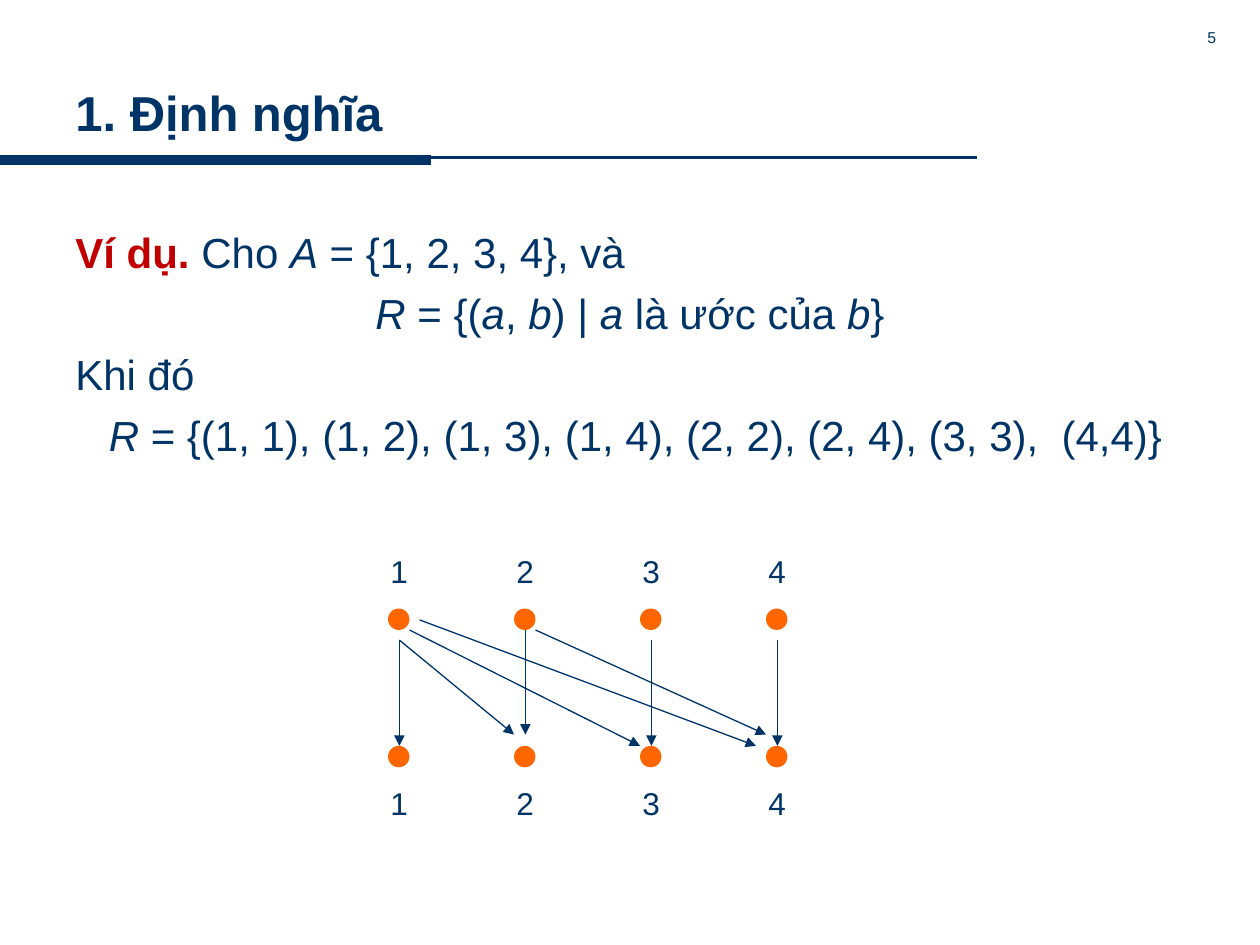
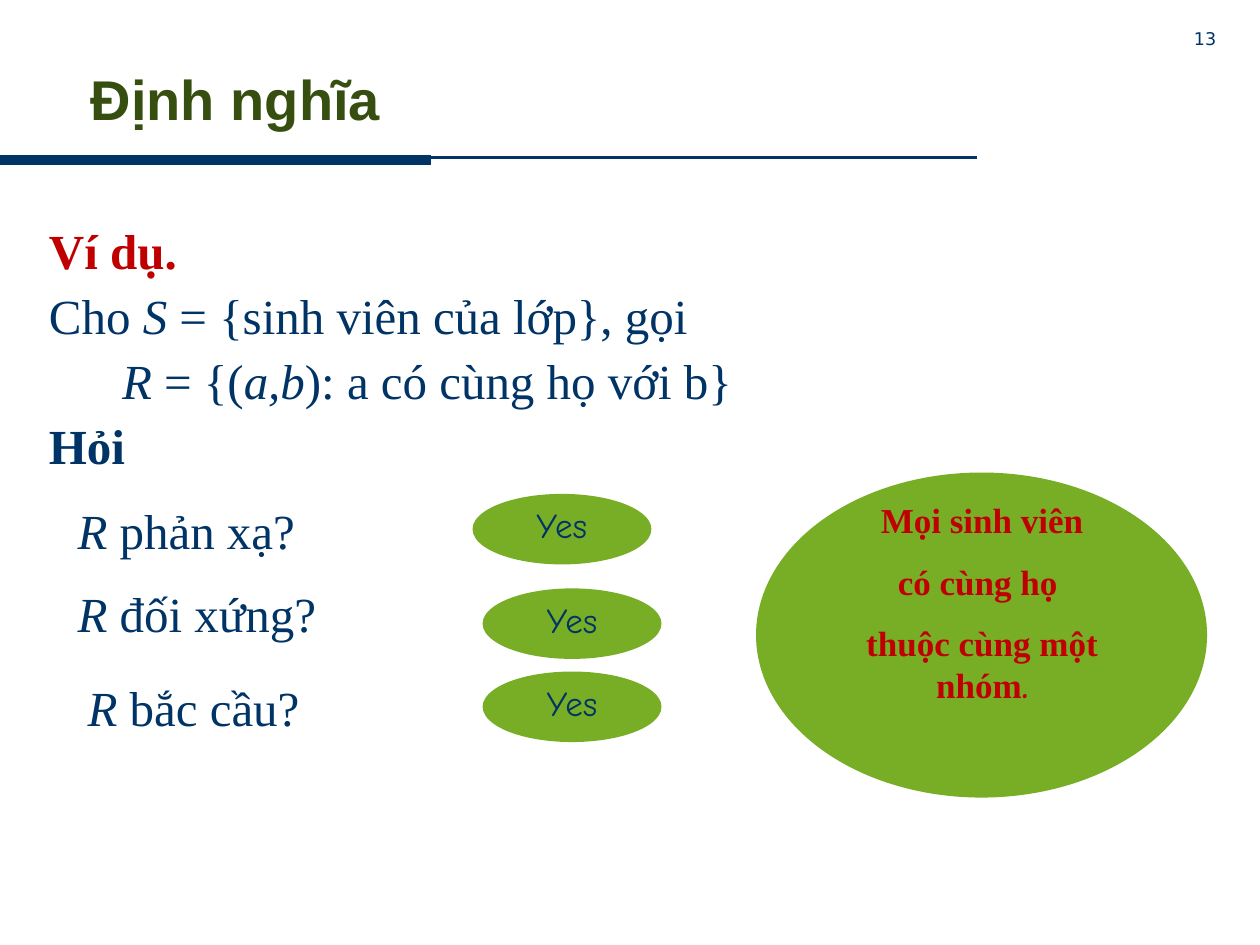
from lxml import etree
from pptx import Presentation
from pptx.dml.color import RGBColor
from pptx.enum import shapes, text
from pptx.oxml.ns import qn
from pptx.util import Inches, Pt

NAVY = RGBColor(0x00, 0x33, 0x66)
RED = RGBColor(0xC0, 0x00, 0x00)
ORANGE = RGBColor(0xFF, 0x66, 0x00)
GREEN = RGBColor(0x77, 0xAE, 0x26)
DARK_GREEN = RGBColor(0x36, 0x4E, 0x10)

SANS, SERIF, HAND = "Arial", "Times New Roman", "Comic Neue"
LEFT, CENTER, RIGHT = (text.PP_ALIGN.LEFT, text.PP_ALIGN.CENTER,
                       text.PP_ALIGN.RIGHT)


def add_text(slide, box, paragraphs, size, font=SANS, color=NAVY, align=LEFT,
             gap=0, spacing=None, anchor=text.MSO_ANCHOR.TOP):
    """Each paragraph is a list of (words, style) runs; style holds b and i.

    A run may add its own colour and font after the style.
    """
    shape = slide.shapes.add_textbox(*map(Inches, box))
    frame = shape.text_frame
    frame.word_wrap = True
    frame.vertical_anchor = anchor
    for index, runs in enumerate(paragraphs):
        paragraph = frame.paragraphs[0] if index == 0 else frame.add_paragraph()
        paragraph.alignment = align
        if spacing:
            paragraph.line_spacing = spacing
        if index:
            paragraph.space_before = Pt(gap)
        for words, style, *own in runs:
            run = paragraph.add_run()
            run.text = words
            run.font.size = Pt(size)
            run.font.bold = "b" in style
            run.font.italic = "i" in style
            run.font.color.rgb = own[0] if own else color
            run.font.name = own[1] if len(own) > 1 else font
    return shape


def add_ellipse(slide, box, color):
    shape = slide.shapes.add_shape(shapes.MSO_SHAPE.OVAL, *map(Inches, box))
    shape.shadow.inherit = False
    shape.fill.solid()
    shape.fill.fore_color.rgb = color
    shape.line.fill.background()


def add_line(slide, start, end, width, arrow=False):
    line = slide.shapes.add_connector(shapes.MSO_CONNECTOR.STRAIGHT,
                                      *map(Inches, start + end))
    line.line.color.rgb = NAVY
    line.line.width = Pt(width)
    if arrow:
        etree.SubElement(line.line._get_or_add_ln(), qn("a:tailEnd"),
                         type="triangle")
    etree.SubElement(line._element.spPr, qn("a:effectLst"))


def add_slide(presentation, title, title_box, title_size, title_color,
              number, number_size, number_font):
    """Blank slide with the shared rules, title and slide number."""
    slide = presentation.slides.add_slide(presentation.slide_layouts[6])
    add_line(slide, (7.75, 1.25), (0, 1.25), 1.5)
    add_line(slide, (0, 1.27), (3.42, 1.27), 6)
    add_text(slide, title_box, [[(title, "b")]], title_size,
             color=title_color, anchor=text.MSO_ANCHOR.MIDDLE)
    add_text(slide, (7.83, 0.17, 1.92, 0.25), [[(number, "")]], number_size,
             number_font, align=RIGHT)
    return slide


def add_node_row(slide, dot_top, label_top):
    for column in range(4):
        left = 3 + column
        add_ellipse(slide, (left + 0.08, dot_top, 0.17, 0.17), ORANGE)
        add_text(slide, (left, label_top, 0.5, 0.44),
                 [[(str(column + 1), "")]], 18)


def add_answer(slide, left, top):
    add_ellipse(slide, (left, top, 1.42, 0.56), GREEN)
    add_text(slide, (left + 0.19, top + 0.03, 1.04, 0.43), [[("Yes", "")]],
             20, HAND, align=CENTER)


def build_divisor_slide(presentation):
    slide = add_slide(presentation, "1. Định nghĩa", (0.5, 0.58, 8.42, 0.62),
                      28, NAVY, "5", 9, SANS)
    body = add_text(slide, (0.5, 1.75, 9, 2.42), [
        [("Ví dụ. ", "b", RED), ("Cho ", ""), ("A", "i"),
         (" = {1, 2, 3, 4}, và ", "")],
        [("R", "i"), (" = {(", ""), ("a", "i"), (", ", ""), ("b", "i"),
         (") | ", ""), ("a", "i"), (" là ước của ", ""), ("b", "i"),
         ("}", "")],
        [("Khi đó", "")],
        [(" R", "i"),
         (" = {(1, 1), (1, 2), (1, 3), (1, 4), (2, 2), (2, 4), (3, 3),"
          "  (4,4)}", "")],
    ], 24, gap=6)
    for formula in body.text_frame.paragraphs[1::2]:
        formula.alignment = CENTER

    # Arrow diagram of the relation
    add_node_row(slide, dot_top=4.83, label_top=4.33)
    add_node_row(slide, dot_top=5.92, label_top=6.17)
    arrows = [((x, 5.08), (x, 5.92)) for x in (3.17, 5.17, 6.17)]
    arrows += [
        ((4.17, 5), (4.17, 5.83)),
        ((3.17, 5.08), (4.08, 5.83)),
        ((3.25, 5), (5.08, 5.92)),
        ((3.33, 4.92), (6, 5.92)),
        ((4.25, 5), (6.08, 5.83)),
    ]
    for start, end in arrows:
        add_line(slide, start, end, 0.75, arrow=True)


def build_student_slide(presentation):
    slide = add_slide(presentation, " Định nghĩa", (0.5, 0.3, 6.33, 0.95),
                      32, DARK_GREEN, "13", 10, "DejaVu Sans")
    body = add_text(slide, (0.29, 1.75, 8.05, 2.84), [
        [("Ví dụ.", "b", RED)],
        [("Cho ", ""), ("S", "i"), (" = {sinh viên của lớp}, gọi", "")],
        [("R", "i"), (" = {(", ""), ("a,b", "i"),
         ("): a có cùng họ với b}", "")],
        [("Hỏi", "b")],
    ], 28, SERIF, gap=7, spacing=0.9)
    relation = body.text_frame.paragraphs[2]._p.get_or_add_pPr()
    relation.set("marL", str(Inches(0.58)))

    # Questions and their answers
    questions = [
        ("phản xạ?", 0.42, 3.92, 3.75, 3.92),
        ("đối xứng?", 0.42, 4.58, 3.83, 4.67),
        ("bắc cầu?", 0.5, 5.33, 3.83, 5.33),
    ]
    for words, left, top, answer_left, answer_top in questions:
        add_answer(slide, answer_left, answer_top)
        add_text(slide, (left, top, 3, 0.57),
                 [[(" ", ""), ("R ", "i"), (words, "")]], 28, SERIF)

    # Conclusion
    add_ellipse(slide, (6, 3.75, 3.58, 2.58), GREEN)
    add_text(slide, (6.48, 3.91, 2.63, 1.78), [
        [("Mọi sinh viên", "b")],
        [("có cùng họ ", "b")],
        [("thuộc cùng một nhóm", "b"), (".", "b", RED, HAND)],
    ], 20, SERIF, RED, CENTER, gap=11)


def main():
    presentation = Presentation()
    presentation.slide_width = Inches(10)
    presentation.slide_height = Inches(7.5)
    build_divisor_slide(presentation)
    build_student_slide(presentation)
    presentation.save("out.pptx")


main()
